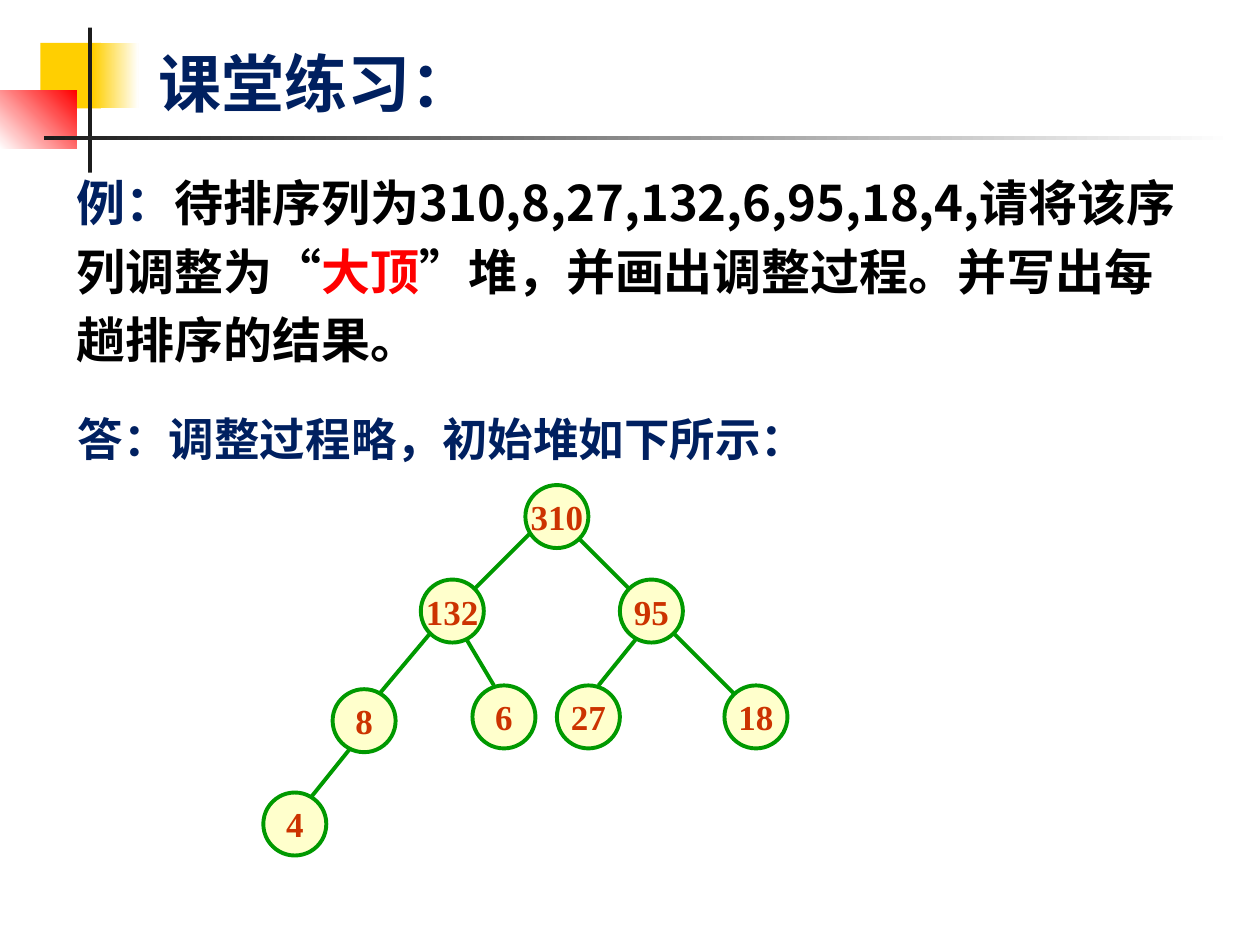
"""Build the max-heap exercise slide."""
from lxml.etree import SubElement
from pptx import Presentation
from pptx.dml.color import RGBColor
from pptx.enum.shapes import MSO_CONNECTOR, MSO_SHAPE
from pptx.enum.text import MSO_ANCHOR, MSO_AUTO_SIZE, PP_ALIGN
from pptx.oxml.ns import qn
from pptx.util import Inches, Pt

CJK, LATIN = "Noto Sans CJK SC", "Times New Roman"
NAVY, BLACK, RED = "002060", "000000", "FF0000"
YELLOW, WHITE, DARK = "FFCF01", "FFFFFF", "1C1C1C"
GREEN, CREAM, RUST = "009900", "FFFFCC", "CC3300"
NODE = 0.5

QUESTION = [
    [("例：", NAVY), ("待排序列为310,8,27,132,6,95,18,4,请将该序", BLACK)],
    [("列调整为“", BLACK), ("大顶", RED), ("”堆，并画出调整过程。并写出每", BLACK)],
    [("趟排序的结果。", BLACK)],
]
ANSWER = [[("答：调整过程略，初始堆如下所示：", NAVY)]]
EDGES = [
    (4.25, 4.19, 3.67, 4.77), (4.59, 4.27, 5.09, 4.77),
    (3.42, 5.02, 3, 5.52), (3.67, 5.02, 3.92, 5.44),
    (5.09, 5.02, 4.75, 5.44), (5.34, 5.02, 6.09, 5.77),
    (2.78, 5.94, 2.45, 6.35),
]
NODES = [
    ("310", 4.17, 3.85), ("132", 3.34, 4.6), ("95", 4.92, 4.6),
    ("8", 2.64, 5.47), ("6", 3.75, 5.44), ("27", 4.42, 5.44),
    ("18", 5.75, 5.44), ("4", 2.09, 6.29),
]


def rgb(value):
    """Turn a hex string into a colour."""
    return RGBColor.from_string(value)


class HeapSlide:
    """Hold the slide and the style of its elements."""

    def __init__(self, prs):
        """Add a title-and-content slide."""
        self.s = prs.slides.add_slide(prs.slide_layouts[1])

    def place(self, sp, left, top, width, height):
        """Move and size a shape."""
        sp.left, sp.top = Inches(left), Inches(top)
        sp.width, sp.height = Inches(width), Inches(height)

    def font(self, r, size, color, name):
        """Format a run for Latin and East Asian text."""
        r.font.size, r.font.bold, r.font.name = Pt(size), True, name
        r.font.color.rgb = rgb(color)
        SubElement(r.font._element, qn("a:ea"), typeface=name)

    def shape(self, kind, box, fill, end=None, angle=0):
        """Add a borderless shape with a solid or gradient fill."""
        sp = self.s.shapes.add_shape(kind, *map(Inches, box))
        sp.shadow.inherit = False
        sp.line.fill.background()
        if end:
            sp.fill.gradient()
            sp.fill.gradient_angle = angle
            for stop, color in zip(sp.fill.gradient_stops, (fill, end)):
                stop.color.rgb = rgb(color)
        else:
            sp.fill.solid()
            sp.fill.fore_color.rgb = rgb(fill)
        return sp

    def title(self, text, box):
        """Fill the title placeholder."""
        sp = self.s.shapes.title
        self.place(sp, *box)
        tf = sp.text_frame
        tf.text = text
        tf.word_wrap, tf.auto_size = False, MSO_AUTO_SIZE.NONE
        tf.vertical_anchor = MSO_ANCHOR.TOP
        p = tf.paragraphs[0]
        p.alignment = PP_ALIGN.LEFT
        self.font(p.runs[0], 36, NAVY, CJK)

    def lines(self, sp, box, rows, size):
        """Write justified, hanging lines of coloured runs."""
        self.place(sp, *box)
        tf = sp.text_frame
        tf.word_wrap, tf.auto_size = True, MSO_AUTO_SIZE.NONE
        for i, row in enumerate(rows):
            p = tf.add_paragraph() if i else tf.paragraphs[0]
            p.alignment = PP_ALIGN.JUSTIFY
            p.space_before = Pt(0.2 * size if i else 0)
            pPr = p._p.get_or_add_pPr()
            pPr.set("marL", str(Inches(0.38)))
            pPr.set("indent", str(Inches(-0.38)))
            SubElement(pPr, qn("a:buNone"))
            for text, color in row:
                r = p.add_run()
                r.text = text
                self.font(r, size, color, CJK)

    def edge(self, x1, y1, x2, y2):
        """Add a tree edge."""
        ln = self.s.shapes.add_connector(
            MSO_CONNECTOR.STRAIGHT, *map(Inches, (x1, y1, x2, y2)))
        ln.line.color.rgb, ln.line.width = rgb(GREEN), Pt(2.25)
        SubElement(ln._element.spPr, qn("a:effectLst"))

    def node(self, text, left, top):
        """Add a tree node with its key."""
        sp = self.shape(MSO_SHAPE.OVAL, (left, top, NODE, NODE), CREAM)
        sp.line.color.rgb, sp.line.width = rgb(GREEN), Pt(2.25)
        tf = sp.text_frame
        tf.text = text
        tf.word_wrap, tf.vertical_anchor = False, MSO_ANCHOR.MIDDLE
        p = tf.paragraphs[0]
        p.alignment = PP_ALIGN.CENTER
        self.font(p.runs[0], 20, RUST, LATIN)


def main():
    """Assemble and save the slide."""
    prs = Presentation()
    prs.slide_width, prs.slide_height = Inches(10), Inches(7.5)
    hs = HeapSlide(prs)
    rect = MSO_SHAPE.RECTANGLE
    hs.shape(rect, (0.32, 0.34, 0.48, 0.52), YELLOW)
    hs.shape(rect, (0.74, 0.34, 0.36, 0.52), YELLOW, WHITE)
    hs.shape(rect, (0, 0.72, 0.61, 0.46), WHITE, RED, 45)
    hs.shape(rect, (0.7, 0.22, 0.03, 1.15), DARK)
    hs.shape(rect, (0.35, 1.08, 9.44, 0.03), DARK, WHITE)
    hs.title("课堂练习：", (1.16, 0.3, 2.74, 0.71))
    hs.lines(hs.s.placeholders[1], (0.51, 1.32, 9.13, 1.72), QUESTION, 28)
    answer = hs.s.shapes.add_textbox(0, 0, 0, 0)
    hs.lines(answer, (0.52, 3.21, 9.41, 0.64), ANSWER, 26)
    for edge in EDGES:
        hs.edge(*edge)
    for node in NODES:
        hs.node(*node)
    prs.save("out.pptx")


if __name__ == "__main__":
    main()
